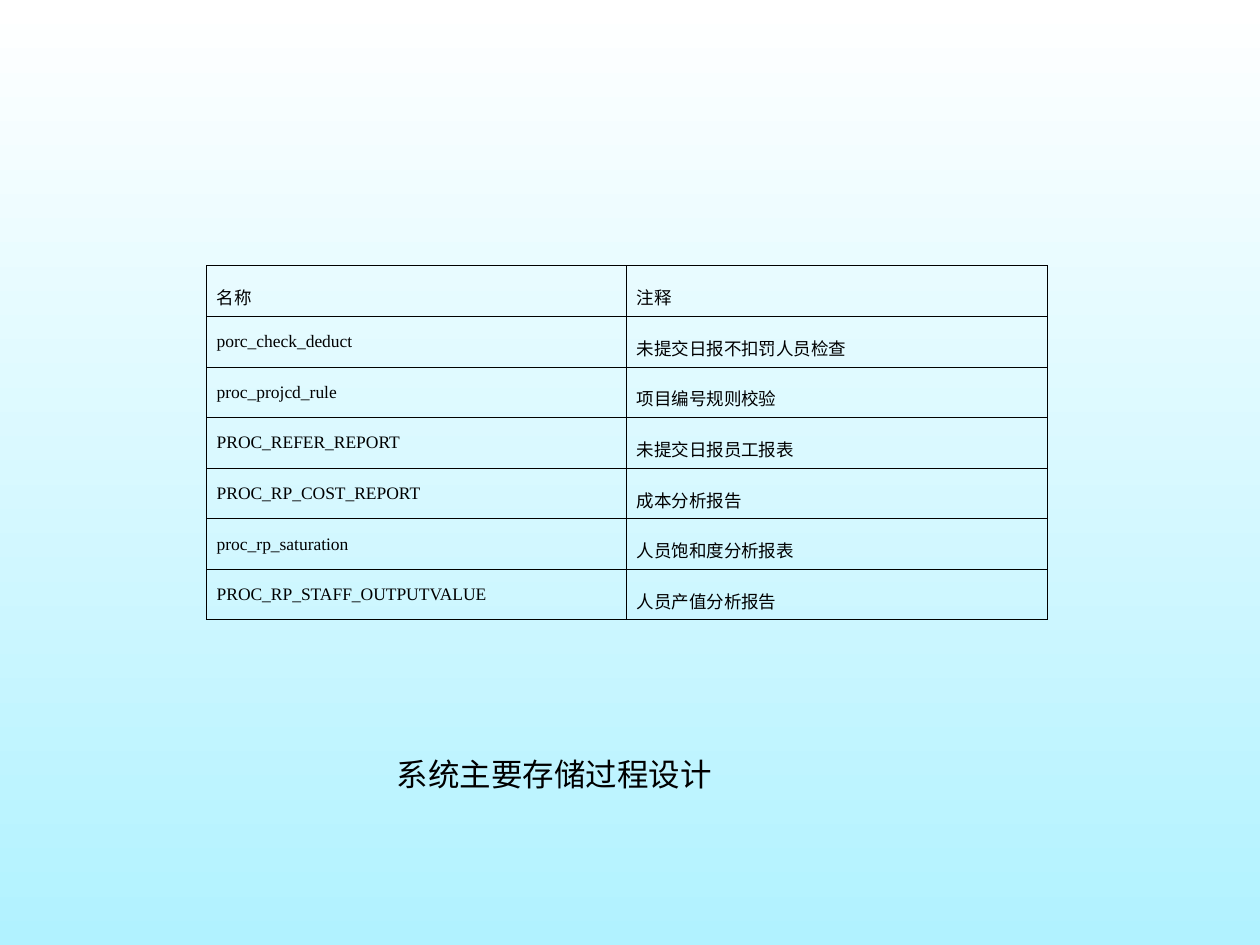
from dataclasses import dataclass

from lxml.etree import SubElement
from pptx import Presentation
from pptx.dml.color import RGBColor
from pptx.enum.text import MSO_ANCHOR, MSO_AUTO_SIZE, PP_ALIGN
from pptx.oxml.ns import qn
from pptx.util import Inches, Pt


@dataclass(frozen=True)
class Theme:
    ink: str = "000000"
    top: str = "FFFFFF"
    base: str = "B1F2FF"
    head_font: str = "Cambria"
    cell_font: str = "Times New Roman"
    head_size: float = 18
    cell_size: float = 10
    rule: float = 0.45


theme = Theme()


def style(para, name, size, align):
    para.alignment = align
    para.font.name = name
    para.font.size = Pt(size)
    para.font.color.rgb = RGBColor.from_string(theme.ink)


def frame(cell):
    """Draw a thin line on all four sides of a cell."""
    props = cell._tc.get_or_add_tcPr()
    for side in ("lnL", "lnR", "lnT", "lnB"):
        line = SubElement(props, qn(f"a:{side}"), w=str(Pt(theme.rule)))
        fill = SubElement(line, qn("a:solidFill"))
        SubElement(fill, qn("a:srgbClr"), val=theme.ink)


prs = Presentation()
prs.slide_width, prs.slide_height = Inches(10), Inches(7.5)
slide = prs.slides.add_slide(prs.slide_layouts[5])

# Background: top to bottom gradient
back = slide.background.fill
back.gradient()
back.gradient_angle = 270
for stop, place, color in zip(back.gradient_stops, (0, 1), (theme.top, theme.base)):
    stop.position = place
    stop.color.rgb = RGBColor.from_string(color)

# Title, set below the table
title = slide.shapes.title
title.left, title.top = Inches(3.05), Inches(5.94)
title.width, title.height = Inches(3.91), Inches(0.4)
text = title.text_frame
text.text = "系统主要存储过程设计"
text.word_wrap = True
text.auto_size = MSO_AUTO_SIZE.SHAPE_TO_FIT_TEXT
text.vertical_anchor = MSO_ANCHOR.TOP
style(text.paragraphs[0], theme.head_font, theme.head_size, PP_ALIGN.LEFT)

# Table of stored procedures
rows = [
    ("名称", "注释"),
    ("porc_check_deduct", "未提交日报不扣罚人员检查"),
    ("proc_projcd_rule", "项目编号规则校验"),
    ("PROC_REFER_REPORT", "未提交日报员工报表"),
    ("PROC_RP_COST_REPORT", "成本分析报告"),
    ("proc_rp_saturation", "人员饱和度分析报表"),
    ("PROC_RP_STAFF_OUTPUTVALUE", "人员产值分析报告"),
]
table = slide.shapes.add_table(
    len(rows), 2, Inches(1.64), Inches(2.11), Inches(6.67), Inches(2.81)
).table
table.first_row = table.horz_banding = False

for r, row in enumerate(rows):
    for c, word in enumerate(row):
        cell = table.cell(r, c)
        cell.text = word
        cell.margin_left = cell.margin_right = Inches(0.08)
        cell.margin_top = cell.margin_bottom = Inches(0.05)
        para = cell.text_frame.paragraphs[0]
        para.line_spacing = 1.5
        style(para, theme.cell_font, theme.cell_size, PP_ALIGN.JUSTIFY)
        frame(cell)
        cell.fill.background()

prs.save("out.pptx")
